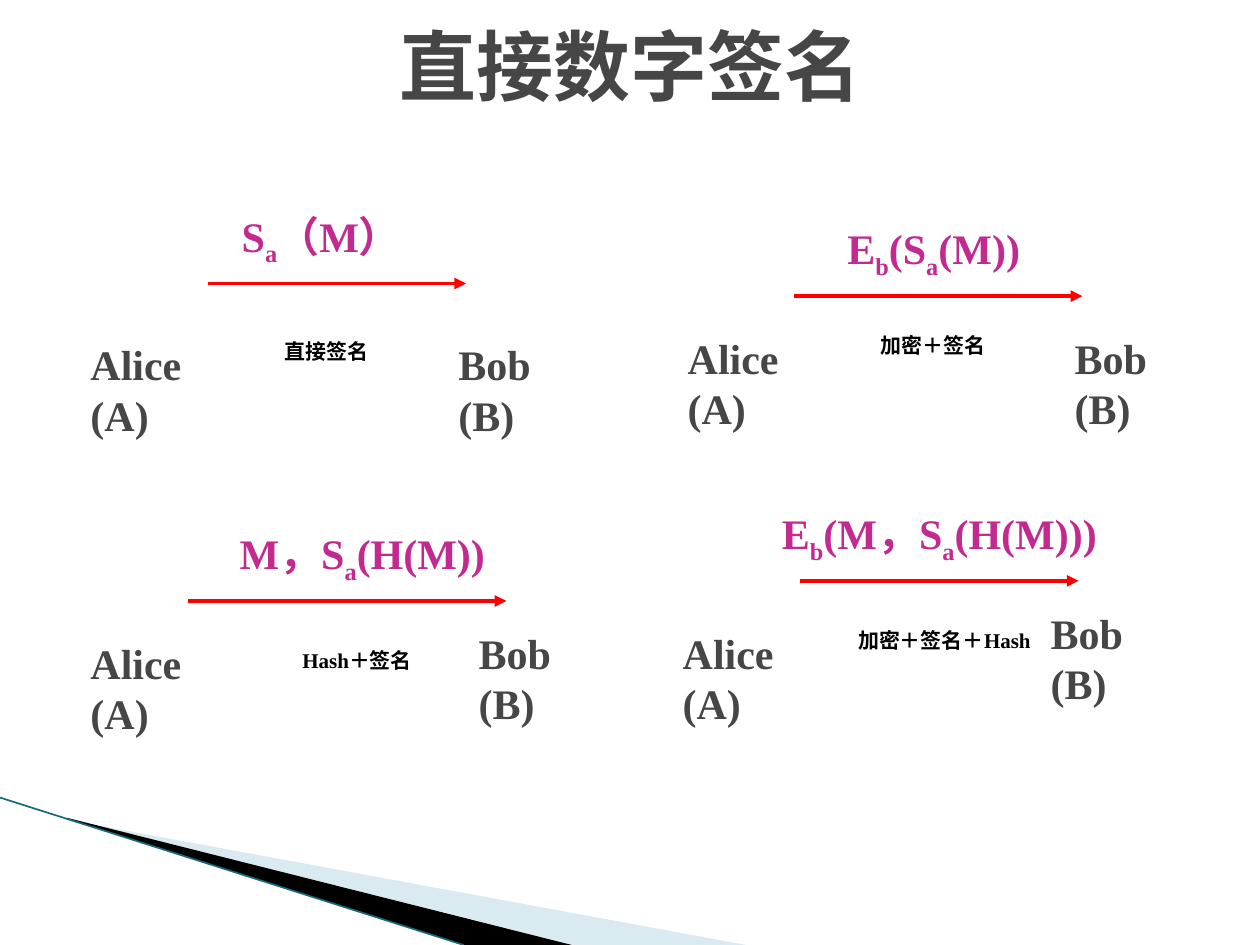
from dataclasses import dataclass

import pptx
import pptx.dml.color
import pptx.enum.shapes
import pptx.enum.text
import pptx.oxml
import pptx.oxml.ns
import pptx.util

RGBColor = pptx.dml.color.RGBColor
Align = pptx.enum.text.PP_ALIGN
Anchor = pptx.enum.text.MSO_ANCHOR

GREY = RGBColor(0x46, 0x46, 0x46)
MAGENTA = RGBColor(0xC2, 0x2A, 0x8F)
RED = RGBColor(0xFF, 0x00, 0x00)
BLACK = RGBColor(0x00, 0x00, 0x00)
PALE_BLUE = RGBColor(0xA0, 0xCB, 0xDC)
TEAL = RGBColor(0x17, 0x69, 0x7E)

FONT = "Times New Roman"
COLUMNS, ROWS = 100, 75
CELL = pptx.util.Inches(0.1)
FORMULA_RISE = 6.3  # rows from the top of a formula down to its arrow


@dataclass(frozen=True)
class Spot:
    """Place of a text box, in columns and rows."""
    left: float
    top: float
    width: float


@dataclass(frozen=True)
class Scheme:
    """One way of signing; an underscore marks the next letter as subscript."""
    formula: str
    formula_left: float
    formula_width: float
    arrow_row: float
    arrow_start: float
    arrow_end: float
    caption: str
    caption_spot: Spot
    alice: Spot
    bob: Spot


SCHEMES = [
    Scheme("S_a（M）", 14.9, 21.2, 22.5, 16.5, 37,
           "直接签名", Spot(18.1, 26.4, 15.7),
           Spot(6.2, 26.4, 12.6), Spot(35.4, 26.4, 10.2)),
    Scheme("E_b(S_a(M))", 61.5, 25.2, 23.5, 63, 85.9,
           "加密＋签名", Spot(66.2, 25.9, 15.7),
           Spot(53.6, 25.9, 12.6), Spot(84.3, 25.9, 10.2)),
    Scheme("M，S_a(H(M))", 14.2, 29.1, 47.7, 14.9, 40.2,
           "Hash＋签名", Spot(20.5, 50.9, 15.7),
           Spot(6.2, 50.1, 12.6), Spot(37, 49.3, 10.2)),
    Scheme("E_b(M，S_a(H(M)))", 58.8, 31.5, 46.1, 63.5, 85.6,
           "加密＋签名＋Hash", Spot(65.9, 49.3, 18.1),
           Spot(53.2, 49.3, 12.6), Spot(82.4, 47.7, 10.2)),
]


def grid(cells: float) -> int:
    return round(cells * CELL)


def add_text(page, text: str, spot: Spot, *, height: float = 4, size: float = 24,
             color: RGBColor = GREY, align=Align.LEFT, anchor=Anchor.TOP) -> None:
    box = page.shapes.add_textbox(*map(grid, (spot.left, spot.top, spot.width, height)))
    frame = box.text_frame
    frame.word_wrap = True
    frame.vertical_anchor = anchor
    para = frame.paragraphs[0]
    para.alignment = align
    first, *rest = text.split("_")
    pieces = [(first, False)]
    for part in rest:
        pieces += [(part[0], True), (part[1:], False)]
    for piece, lowered in pieces:
        span = para.add_run()
        span.text = piece
        span.font.name = FONT
        span.font.size = pptx.util.Pt(size)
        span.font.bold = True
        span.font.color.rgb = color
        if lowered:
            span.font._element.set("baseline", "-25000")


def add_line(page, start: tuple[float, float], end: tuple[float, float], *,
             color: RGBColor, width: float, arrow: bool = False) -> None:
    line = page.shapes.add_connector(
        pptx.enum.shapes.MSO_CONNECTOR.STRAIGHT, *map(grid, start + end))
    line.line.color.rgb = color
    line.line.width = pptx.util.Pt(width)
    if arrow:
        head = pptx.oxml.parse_xml(
            f'<a:tailEnd {pptx.oxml.ns.nsdecls("a")} type="triangle"/>')
        line.line._get_or_add_ln().append(head)
    line._element.spPr.append(
        pptx.oxml.parse_xml(f'<a:effectLst {pptx.oxml.ns.nsdecls("a")}/>'))


def add_wedge(page, points: list[tuple[float, float]], *,
              color: RGBColor, opacity: int = 100) -> None:
    corners = [(grid(column), grid(row)) for column, row in points]
    builder = page.shapes.build_freeform(*corners[0])
    builder.add_line_segments(corners[1:], close=True)
    wedge = builder.convert_to_shape()
    wedge.shadow.inherit = False
    wedge.fill.solid()
    wedge.fill.fore_color.rgb = color
    wedge.line.fill.background()
    if opacity < 100:
        tint = wedge._element.spPr.find(".//" + pptx.oxml.ns.qn("a:srgbClr"))
        tint.append(pptx.oxml.parse_xml(
            f'<a:alpha {pptx.oxml.ns.nsdecls("a")} val="{opacity * 1000}"/>'))


def add_scheme(page, scheme: Scheme) -> None:
    row = scheme.arrow_row
    add_line(page, (scheme.arrow_start, row), (scheme.arrow_end, row),
             color=RED, width=2.25, arrow=True)
    formula_spot = Spot(scheme.formula_left, row - FORMULA_RISE, scheme.formula_width)
    add_text(page, scheme.formula, formula_spot, height=5,
             color=MAGENTA, align=Align.CENTER)
    add_text(page, "Alice (A)", scheme.alice)
    add_text(page, "Bob (B)", scheme.bob)
    add_text(page, scheme.caption, scheme.caption_spot, height=3, size=12,
             color=BLACK, align=Align.CENTER)


def main() -> None:
    deck = pptx.Presentation()
    deck.slide_width, deck.slide_height = grid(COLUMNS), grid(ROWS)
    page = deck.slides.add_slide(deck.slide_layouts[6])

    # Wedges and edge line in the lower left corner
    add_wedge(page, [(5.5, 65.1), (59.2, ROWS), (45.6, ROWS), (5.5, 65)],
              color=PALE_BLUE, opacity=40)
    add_wedge(page, [(5.3, 64.9), (45.4, ROWS), (36.8, ROWS), (5.4, 65)], color=BLACK)
    add_line(page, (0, 63.3), (36.8, ROWS), color=TEAL, width=0.95)

    # Title
    add_text(page, "直接数字签名", Spot(2, 0.5, 96.1), height=9.3, size=44,
             align=Align.CENTER, anchor=Anchor.MIDDLE)

    # Four signing schemes
    for scheme in SCHEMES:
        add_scheme(page, scheme)

    deck.save("out.pptx")


if __name__ == "__main__":
    main()
